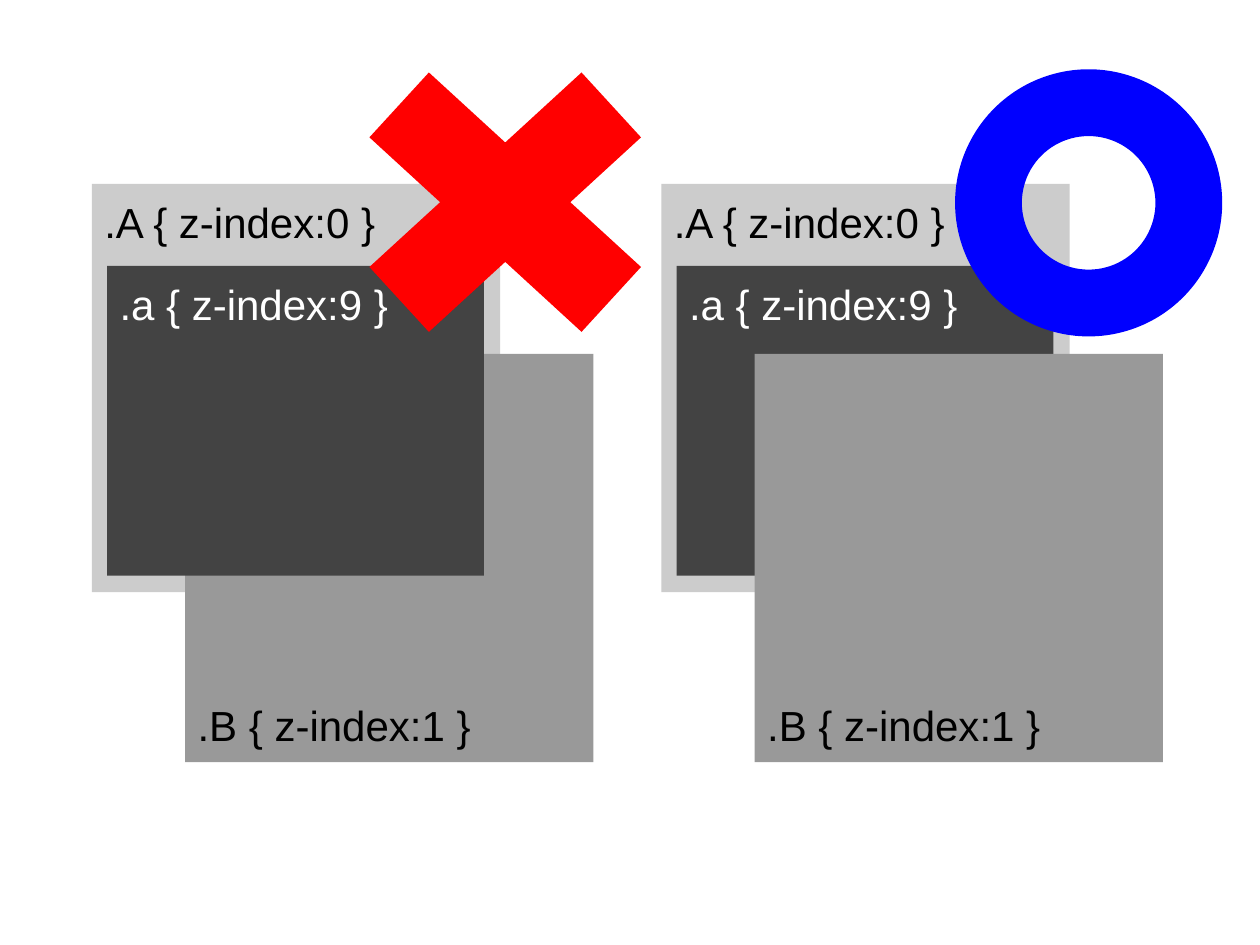
import dataclasses

import pptx
import pptx.dml.color
import pptx.enum.shapes
import pptx.enum.text
import pptx.util

Inches = pptx.util.Inches
Shapes = pptx.enum.shapes.MSO_SHAPE
Anchor = pptx.enum.text.MSO_ANCHOR


@dataclasses.dataclass(frozen=True)
class Item:
    left: float
    top: float
    width: float
    height: float
    fill: str
    preset: Shapes = Shapes.RECTANGLE
    label: str = ""
    text_color: str = "000000"
    anchor: Anchor = Anchor.TOP


def color(value: str) -> pptx.dml.color.RGBColor:
    return pptx.dml.color.RGBColor.from_string(value)


def set_values(target: object, values: dict) -> None:
    for name, value in values.items():
        setattr(target, name, value)


def draw_item(slide, item: Item, offset: float = 0) -> None:
    shape = slide.shapes.add_shape(
        item.preset,
        Inches(item.left + offset), Inches(item.top),
        Inches(item.width), Inches(item.height),
    )
    shape.shadow.inherit = False
    shape.fill.solid()
    shape.fill.fore_color.rgb = color(item.fill)
    shape.line.fill.background()
    if item.label:
        add_label(shape, item)


def add_label(shape, item: Item) -> None:
    margins = {f"margin_{side}": Inches(0.1)
               for side in ("left", "top", "right", "bottom")}
    set_values(shape.text_frame, {
        "word_wrap": True, "vertical_anchor": item.anchor, **margins,
    })
    paragraph = shape.text_frame.paragraphs[0]
    paragraph.alignment = pptx.enum.text.PP_ALIGN.LEFT
    run = paragraph.add_run()
    run.text = item.label
    set_values(run.font, {"name": "Arial", "size": pptx.util.Pt(24)})
    run.font.color.rgb = color(item.text_color)


# Boxes, placed as in the left-hand stack
SIDE = 3.24
OUTER = Item(0.73, 1.46, SIDE, SIDE, "CCCCCC", label=".A { z-index:0 }")
INNER = Item(0.85, 2.11, 2.99, 2.46, "434343",
             label=".a { z-index:9 }", text_color="FFFFFF")
SIBLING = Item(1.47, 2.81, SIDE, SIDE, "999999",
               label=".B { z-index:1 }", anchor=Anchor.BOTTOM)

# Horizontal offset of each stack, with its boxes from back to front
STACKS = [
    (0, (OUTER, SIBLING, INNER)),
    (4.52, (OUTER, INNER, SIBLING)),
]

# Wrong and right marks
MARKS = [
    Item(2.39, 0.12, 3.24, 2.97, "FF0000", Shapes.MATH_MULTIPLY),
    Item(7.58, 0.55, 2.12, 2.12, "0000FF", Shapes.DONUT),
]


def main() -> None:
    presentation = pptx.Presentation()
    set_values(presentation, {
        "slide_width": Inches(10), "slide_height": Inches(7.5),
    })
    slide = presentation.slides.add_slide(presentation.slide_layouts[6])
    for offset, boxes in STACKS:
        for box in boxes:
            draw_item(slide, box, offset)
    for mark in MARKS:
        draw_item(slide, mark)
    presentation.save("out.pptx")


if __name__ == "__main__":
    main()
